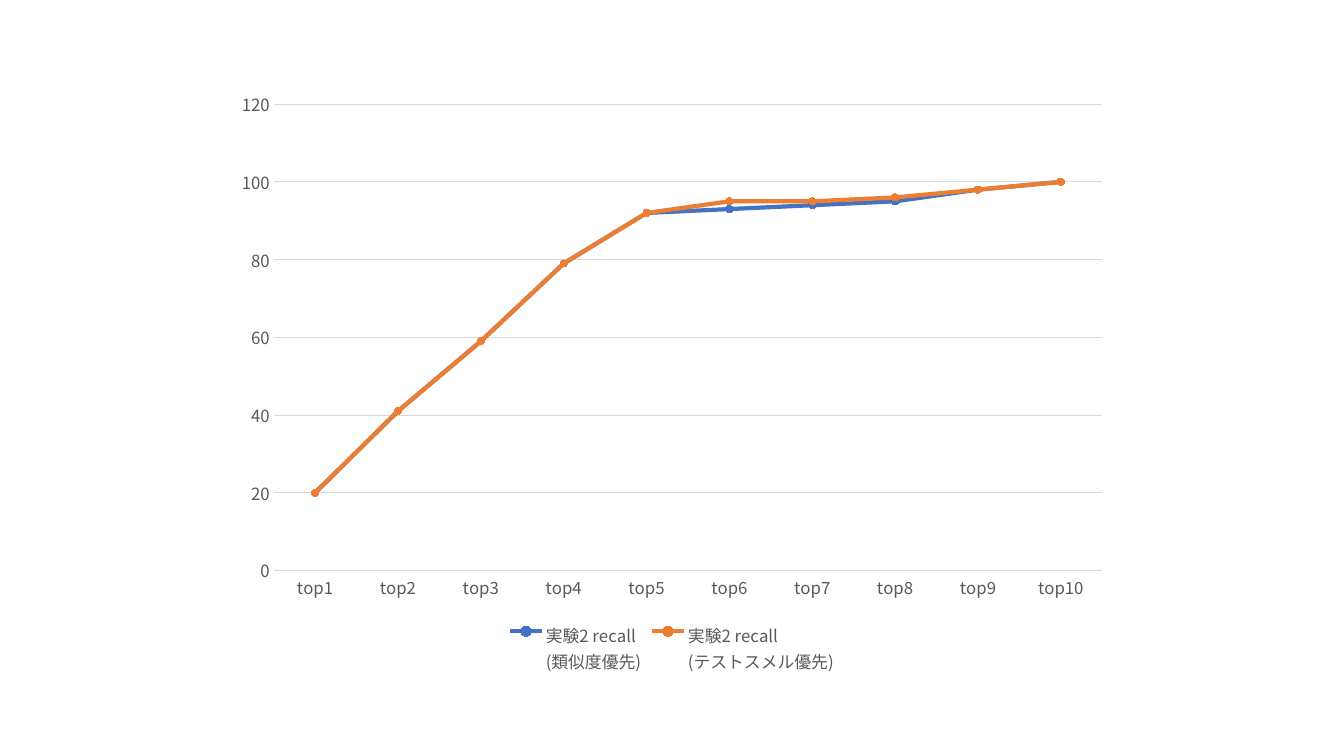
from lxml import etree
from pptx import Presentation
from pptx.chart.data import CategoryChartData
from pptx.dml.color import RGBColor
from pptx.enum.chart import XL_CHART_TYPE, XL_LEGEND_POSITION, XL_MARKER_STYLE, XL_TICK_MARK
from pptx.oxml.ns import qn
from pptx.util import Inches, Pt

LINE_MARKERS = XL_CHART_TYPE.LINE_MARKERS
BOTTOM = XL_LEGEND_POSITION.BOTTOM
CIRCLE = XL_MARKER_STYLE.CIRCLE
NO_TICK = XL_TICK_MARK.NONE

SLIDE_SIZE = (13.33, 7.5)
CHART_BOX = (2.22, 0.79, 8.89, 5.93)
CATEGORIES = [f"top{n}" for n in range(1, 11)]
RECALL = {
    "実験2 recall \n(類似度優先)": [20, 41, 59, 79, 92, 93, 94, 95, 98, 100],
    "実験2 recall \n(テストスメル優先)": [20, 41, 59, 79, 92, 95, 95, 96, 98, 100],
}
THEME = {
    "font": "Noto Sans CJK JP",
    "base_size": 10,
    "label_size": 12,
    "base": "000000",
    "label": "595959",
    "grid": "D9D9D9",
    "grid_width": 0.75,
    "series": ["4472C4", "ED7D31"],
    "series_width": 3,
    "marker_size": 5,
}


def style_font(font, size=THEME["label_size"], color=THEME["label"]):
    font.name = THEME["font"]
    font.size = Pt(size)
    font.bold = False
    font.color.rgb = RGBColor.from_string(color)


def style_line(line, color=THEME["grid"], width=THEME["grid_width"]):
    line.color.rgb = RGBColor.from_string(color)
    line.width = Pt(width)


def style_axes(chart):
    for axis in (chart.category_axis, chart.value_axis):
        axis.major_tick_mark = axis.minor_tick_mark = NO_TICK
        style_font(axis.tick_labels.font)
    style_line(chart.category_axis.format.line)
    values = chart.value_axis
    values.minimum_scale, values.maximum_scale, values.major_unit = 0, 120, 20
    values.format.line.fill.background()
    values.has_major_gridlines = True
    style_line(values.major_gridlines.format.line)


def style_series(series, color):
    series.smooth = False
    style_line(series.format.line, color, THEME["series_width"])
    marker = series.marker
    marker.style = CIRCLE
    marker.size = THEME["marker_size"]
    marker.format.fill.solid()
    marker.format.fill.fore_color.rgb = RGBColor.from_string(color)
    style_line(marker.format.line, color)


def add_recall_chart(s):
    data = CategoryChartData()
    data.categories = CATEGORIES
    for name, values in RECALL.items():
        data.add_series(name, values)
    chart = s.shapes.add_chart(LINE_MARKERS, *map(Inches, CHART_BOX), data).chart
    style_font(chart.font, THEME["base_size"], THEME["base"])
    chart.has_title = False
    chart.has_legend = True
    chart.legend.position = BOTTOM
    chart.legend.include_in_layout = False
    style_font(chart.legend.font)
    style_axes(chart)
    plot = chart.plots[0]
    plot.vary_by_categories = False
    for series, color in zip(plot.series, THEME["series"]):
        style_series(series, color)
    for latin in list(chart.element.iter(qn("a:latin"))):
        latin.addnext(etree.Element(qn("a:ea"), typeface=THEME["font"]))


def main():
    prs = Presentation()
    prs.slide_width, prs.slide_height = map(Inches, SLIDE_SIZE)
    s = prs.slides.add_slide(prs.slide_layouts[6])
    add_recall_chart(s)
    prs.save("out.pptx")


if __name__ == "__main__":
    main()
